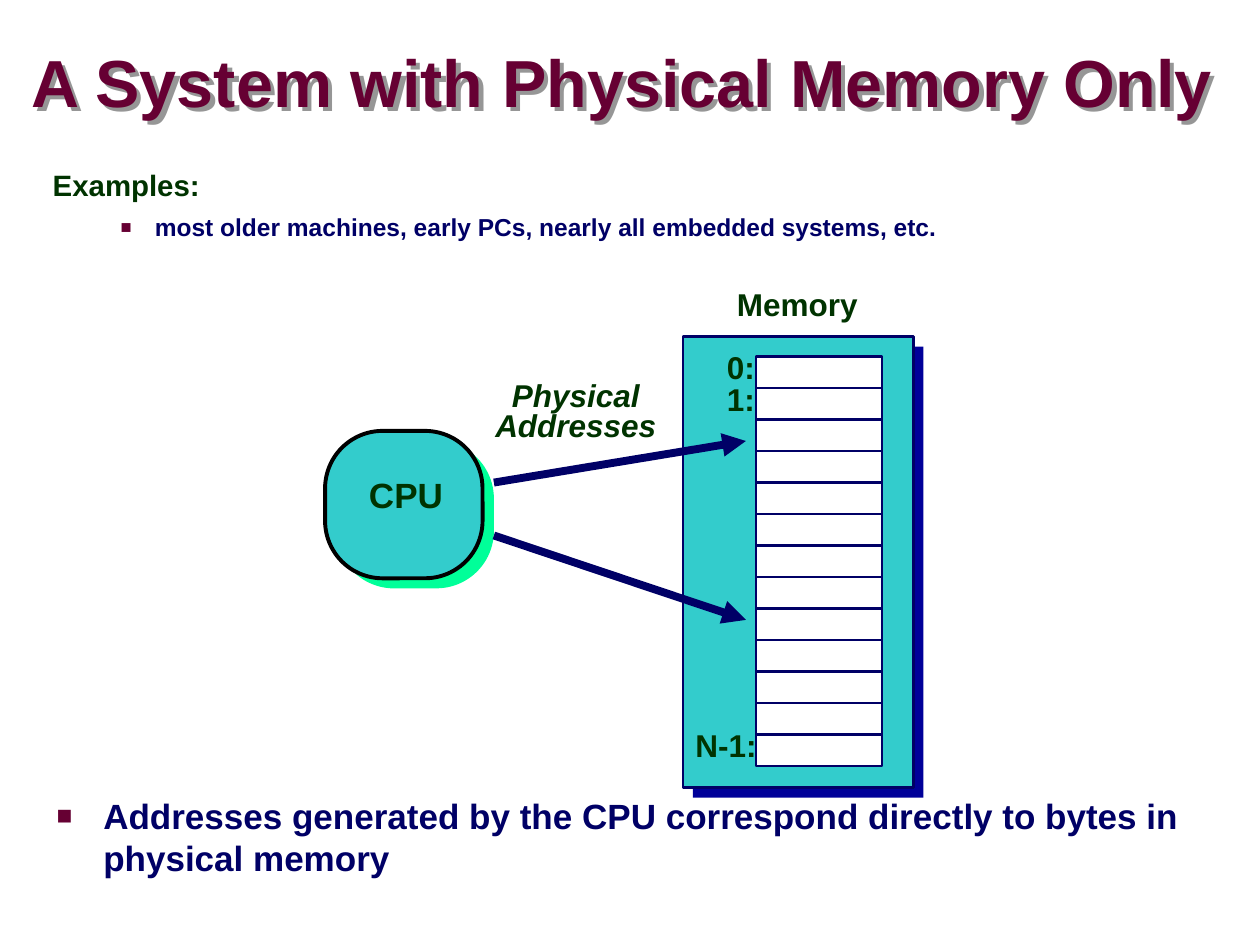
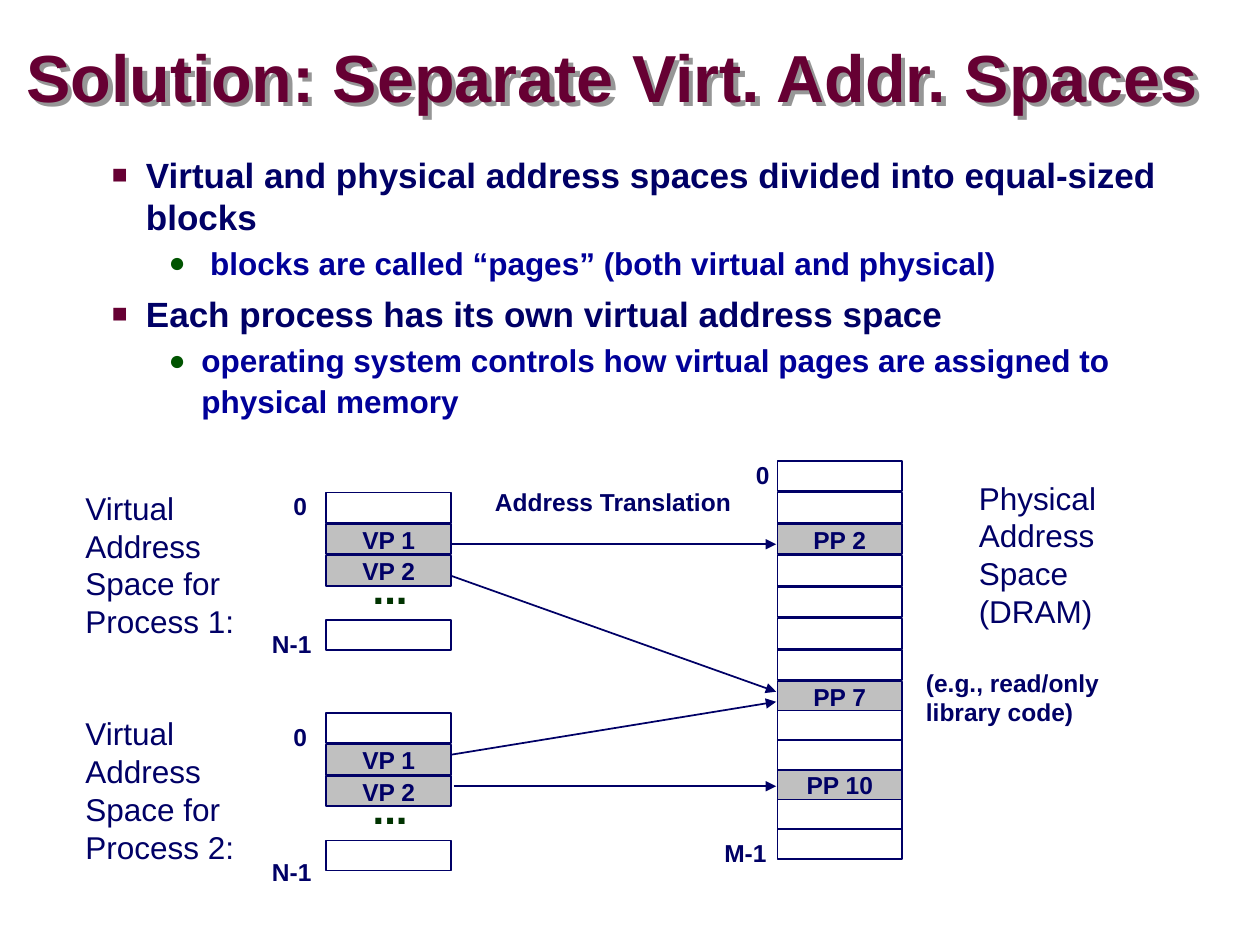
from lxml import etree
from pptx import Presentation
from pptx.dml.color import RGBColor
from pptx.enum import shapes, text
from pptx.oxml import ns
from pptx.util import Inches, Pt

MAROON = RGBColor(0x66, 0x00, 0x33)
DARK_GREEN = RGBColor(0x00, 0x33, 0x00)
BULLET_GREEN = RGBColor(0x00, 0x54, 0x00)
NAVY = RGBColor(0x00, 0x00, 0x66)
BLUE = RGBColor(0x00, 0x00, 0x99)
TEAL = RGBColor(0x33, 0xCC, 0xCC)
MINT = RGBColor(0x00, 0xFF, 0x99)
GRAY = RGBColor(0xC0, 0xC0, 0xC0)
SHADOW = RGBColor(0x96, 0x96, 0x96)
WHITE = RGBColor(0xFF, 0xFF, 0xFF)
BLACK = RGBColor(0x00, 0x00, 0x00)

SQUARE = ("■", MAROON, 75)
DOT = ("●", BULLET_GREEN, 90)
STYLES = {
    "title": dict(size=38, color=MAROON, spacing=0.87),
    "heading": dict(size=16.8, color=DARK_GREEN, spacing=0.75),
    "example": dict(size=14, color=NAVY, before=6.2, bullet=SQUARE, indent=(0.81, -0.27)),
    "conclusion": dict(size=20, color=NAVY, bullet=SQUARE, indent=(0.49, -0.37)),
    "point": dict(size=20, color=NAVY, before=6.2, bullet=SQUARE, indent=(0.81, -0.27)),
    "detail": dict(size=18, color=BLUE, before=2.2, spacing=1.07, bullet=DOT, indent=(1.25, -0.26)),
    "cpu": dict(size=20, color=DARK_GREEN, spacing=0.9),
    "memory": dict(size=18, color=DARK_GREEN, spacing=0.9),
    "addresses": dict(size=18, color=DARK_GREEN, spacing=0.8, italic=True, centered=True),
    "ellipsis": dict(size=24, color=DARK_GREEN, spacing=0.9),
    "space": dict(size=18, color=NAVY, bold=False),
    "label": dict(size=14, color=NAVY),
    "page": dict(size=14, color=NAVY, centered=True),
}

PHYSICAL_ONLY = {
    "title": ("A System with Physical Memory Only", (0.25, 0.37, 9.58, 0.63)),
    "examples": [
        ("heading", "Examples:"),
        ("example", "most older machines, early PCs, nearly all embedded systems, etc."),
    ],
    "conclusion": "Addresses generated by the CPU correspond directly to bytes in physical memory",
    "labels": [
        ("cpu", ["CPU"], (2.83, 3.75, 0.85, 0.4)),
        ("memory", ["0:"], (5.67, 2.75, 0.48, 0.37)),
        ("memory", ["1:"], (5.67, 3, 0.48, 0.37)),
        ("memory", ["N-1:"], (5.42, 5.75, 0.75, 0.37)),
        ("memory", ["Memory"], (5.75, 2.25, 1.22, 0.37)),
        ("addresses", ["Physical", "Addresses"], (3.8, 2.99, 1.54, 0.58)),
    ],
    "arrows": [(3.92, 3.83, 5.92, 3.5), (3.92, 4.25, 5.92, 4.92)],
}
MEMORY_CELLS = 13

SEPARATE_SPACES = {
    "title": ("Solution: Separate Virt. Addr. Spaces", (0.21, 0.33, 9.79, 0.63)),
    "points": [
        ("point", "Virtual and physical address spaces divided into equal-sized blocks"),
        ("detail", " blocks are called “pages” (both virtual and physical)"),
        ("point", "Each process has its own virtual address space"),
        ("detail", "operating system controls how virtual pages are assigned to physical memory"),
    ],
    "stacks": [
        (6.17, 3.66, 5.41, ["", "", "PP 2", "", "", "", "", "PP 7"]),
        (6.17, 5.64, 6.58, ["", "", "PP 10", "", ""]),
    ],
    "labels": [
        ("label", ["0"], (5.9, 3.6, 0.36, 0.33)),
        ("label", ["M-1"], (5.65, 6.6, 0.6, 0.33)),
        ("space", ["Physical", "Address", "Space (DRAM)"], (7.67, 3.75, 1.17, 1.3)),
        ("label", ["Address Translation"], (3.83, 3.82, 2.12, 0.33)),
        ("label", ["(e.g., read/only library code)"], (7.25, 5.25, 1.82, 0.56)),
    ],
    "arrows": [
        (3.59, 4.32, 6.16, 4.32),
        (3.58, 4.57, 6.16, 5.49),
        (3.58, 5.99, 6.16, 5.57),
        (3.6, 6.24, 6.16, 6.24),
    ],
}
PROCESSES = [
    dict(number=1, top=3.91, name=3.83, zero=3.85, ellipsis=4.46, last=4.94),
    dict(number=2, top=5.66, name=5.62, zero=5.68, ellipsis=6.21, last=6.75),
]


def inches(box):
    return [Inches(length) for length in box]


def child(parent, tag, **attributes):
    return etree.SubElement(parent, ns.qn(tag), attributes)


def write(frame, lines):
    for number, (style_name, line) in enumerate(lines):
        style = STYLES[style_name]
        paragraph = frame.paragraphs[0] if number == 0 else frame.add_paragraph()
        paragraph.text = line
        centered = style.get("centered")
        paragraph.alignment = text.PP_ALIGN.CENTER if centered else text.PP_ALIGN.LEFT
        if "spacing" in style:
            paragraph.line_spacing = style["spacing"]
        if number and "before" in style:
            paragraph.space_before = Pt(style["before"])
        if "bullet" in style:
            symbol, color, percent = style["bullet"]
            margin, hanging = inches(style["indent"])
            properties = paragraph._p.get_or_add_pPr()
            properties.set("marL", str(margin))
            properties.set("indent", str(hanging))
            child(child(properties, "a:buClr"), "a:srgbClr", val=str(color))
            child(properties, "a:buSzPct", val=str(percent * 1000))
            child(properties, "a:buFont", typeface="Arial")
            child(properties, "a:buChar", char=symbol)
        font = paragraph.font
        font.name = "Arial"
        font.size = Pt(style["size"])
        font.bold = style.get("bold", True)
        font.italic = style.get("italic", False)
        font.color.rgb = style["color"]


def add_text(slide, lines, box, grow=False, flush=False):
    area = slide.shapes.add_textbox(*inches(box))
    frame = area.text_frame
    frame.word_wrap = True
    frame.auto_size = text.MSO_AUTO_SIZE.SHAPE_TO_FIT_TEXT if grow else text.MSO_AUTO_SIZE.NONE
    if flush:
        frame.vertical_anchor = text.MSO_ANCHOR.MIDDLE
        frame.margin_left = frame.margin_right = frame.margin_top = frame.margin_bottom = 0
    write(frame, lines)
    return area


def add_label(slide, style, lines, box):
    add_text(slide, [(style, line) for line in lines], box, grow=True)


def add_title(slide, title, box):
    area = add_text(slide, [("title", title)], box, flush=True)
    effects = child(area._element.spPr, "a:effectLst")
    shadow = child(effects, "a:outerShdw", dist=str(Inches(0.05)), dir="2700000", algn="ctr", rotWithShape="0")
    child(shadow, "a:srgbClr", val=str(SHADOW))


def add_block(slide, box, fill, line=None, width=1, kind=shapes.MSO_SHAPE.RECTANGLE):
    block = slide.shapes.add_shape(kind, *inches(box))
    block.shadow.inherit = False
    block.fill.solid()
    block.fill.fore_color.rgb = fill
    if line is None:
        block.line.fill.background()
    else:
        block.line.color.rgb = line
        block.line.width = Pt(width)
    return block


def add_arrow(slide, ends, width):
    arrow = slide.shapes.add_connector(shapes.MSO_CONNECTOR.STRAIGHT, *inches(ends))
    arrow.line.color.rgb = NAVY
    arrow.line.width = Pt(width)
    child(arrow.line._get_or_add_ln(), "a:tailEnd", type="triangle")
    child(arrow._element.spPr, "a:effectLst")


def add_pages(slide, left, first, last, names):
    pitch = (last - first) / max(len(names) - 1, 1)
    for row, name in enumerate(names):
        page = add_block(slide, (left, first + row * pitch, 0.99, 0.24), GRAY if name else WHITE, NAVY)
        if name:
            page.text_frame.word_wrap = False
            page.text_frame.vertical_anchor = text.MSO_ANCHOR.MIDDLE
            write(page.text_frame, [("page", name)])


def build_physical_only(slide):
    content = PHYSICAL_ONLY
    add_title(slide, *content["title"])
    add_text(slide, content["examples"], (0.32, 1.34, 9.09, 0.66))
    add_text(slide, [("conclusion", content["conclusion"])], (0.33, 6.44, 9.5, 0.4), flush=True)
    for left, top, fill, line in [(2.67, 3.5, MINT, None), (2.58, 3.42, TEAL, BLACK)]:
        cpu = add_block(slide, (left, top, 1.25, 1.17), fill, line, 2.25, shapes.MSO_SHAPE.ROUNDED_RECTANGLE)
        cpu.adjustments[0] = 0.39
    add_block(slide, (5.5, 2.75, 1.83, 3.58), BLUE)
    add_block(slide, (5.42, 2.67, 1.83, 3.58), TEAL, NAVY, 1.5)
    for row in range(MEMORY_CELLS):
        add_block(slide, (6, 2.83 + row * 0.25, 1, 0.25), WHITE, NAVY, 1.5)
    for label in content["labels"]:
        add_label(slide, *label)
    for ends in content["arrows"]:
        add_arrow(slide, ends, 4.5)


def build_separate_spaces(slide):
    content = SEPARATE_SPACES
    add_title(slide, *content["title"])
    add_text(slide, content["points"], (0.25, 1.17, 9.58, 5.76))
    for stack in content["stacks"]:
        add_pages(slide, *stack)
    for process in PROCESSES:
        top = process["top"]
        add_pages(slide, 2.59, top, top + 0.5, ["", "VP 1", "VP 2"])
        add_pages(slide, 2.59, top + 1.01, top + 1.01, [""])
        name = f"Virtual Address Space for Process {process['number']}:"
        add_label(slide, "space", [name], (0.58, process["name"], 1.5, 1.3))
        add_label(slide, "label", ["0"], (2.23, process["zero"], 0.36, 0.33))
        add_label(slide, "label", ["N-1"], (2.06, process["last"], 0.58, 0.33))
        add_label(slide, "ellipsis", ["..."], (2.86, process["ellipsis"], 0.54, 0.46))
    for label in content["labels"]:
        add_label(slide, *label)
    for ends in content["arrows"]:
        add_arrow(slide, ends, 1)


def main():
    deck = Presentation()
    deck.slide_width, deck.slide_height = Inches(10), Inches(7.5)
    for build in (build_physical_only, build_separate_spaces):
        build(deck.slides.add_slide(deck.slide_layouts[6]))
    deck.save("out.pptx")


if __name__ == "__main__":
    main()
